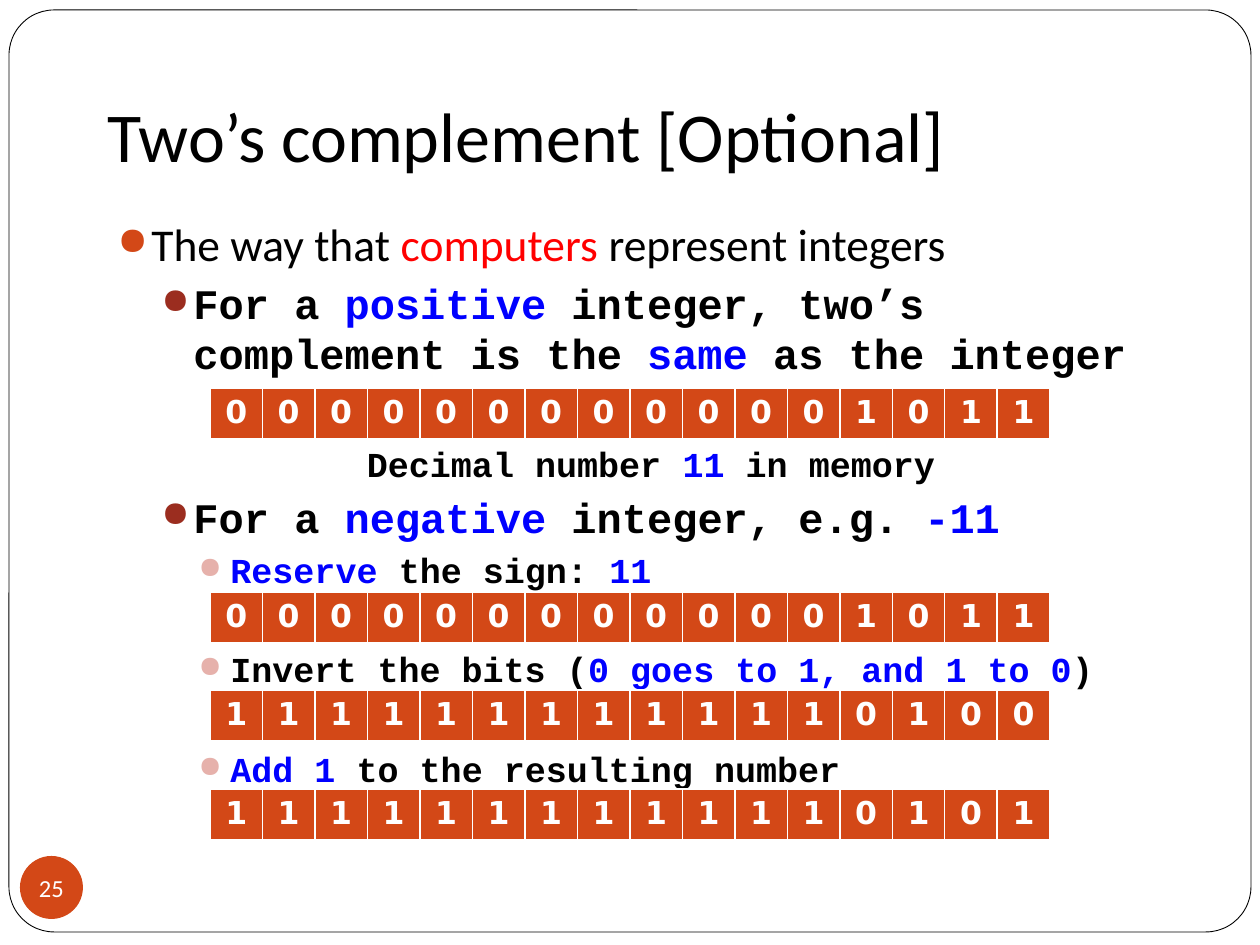
"""Builds the slide on two's complement with its four rows of bits."""
from dataclasses import dataclass

import pptx
import pptx.dml.color
import pptx.enum.shapes
import pptx.enum.text
import pptx.oxml
import pptx.oxml.ns
import pptx.util

PX = 914400 / 126
ALIGN = pptx.enum.text.PP_ALIGN
ANCHOR = pptx.enum.text.MSO_ANCHOR
SHAPE = pptx.enum.shapes.MSO_SHAPE


@dataclass(frozen=True)
class Theme:
    sans: str = "Calibri"
    mono: str = "Courier New"
    digits: str = "DejaVu Sans"
    black: str = "000000"
    white: str = "FFFFFF"
    accent: str = "D34817"
    red: str = "FF0000"
    blue: str = "0000FF"
    bullets: tuple = ("D34817", "9B2D1F", "E6B1AB")
    levels: tuple = (26, 24, 20)
    margins: tuple = (34, 76, 113)
    hangs: tuple = (34, 32, 32)
    title: int = 40
    caption: int = 20
    bit: int = 18
    number: int = 14


def px(n):
    return pptx.util.Emu(round(n * PX))


def rgb(color):
    return pptx.dml.color.RGBColor.from_string(color)


def xml(tag, attrs, inner=""):
    ns = pptx.oxml.ns.nsdecls("a")
    return pptx.oxml.parse_xml(f"<a:{tag} {ns} {attrs}>{inner}</a:{tag}>")


class Deck:
    def __init__(self, theme):
        self.t = theme
        self.prs = pptx.Presentation()
        self.prs.slide_width, self.prs.slide_height = px(1260), px(945)
        self.s = self.prs.slides.add_slide(self.prs.slide_layouts[5])

    def run(self, p, text, size, font, color, bold=False):
        r = p.add_run()
        r.text = text
        r.font.size = pptx.util.Pt(size)
        r.font.name = font
        r.font.bold = bold
        r.font.color.rgb = rgb(color)

    def frame(self, x, y, w, h):
        sp = self.s.shapes.add_shape(SHAPE.ROUNDED_RECTANGLE, px(x), px(y), px(w), px(h))
        sp.adjustments[0] = 0.049
        sp.shadow.inherit = False
        sp.fill.solid()
        sp.fill.fore_color.rgb = rgb(self.t.white)
        sp.line.color.rgb = rgb(self.t.black)
        sp.line.width = pptx.util.Pt(0.5)
        self.s.shapes.title.element.addprevious(sp.element)

    def title(self, text, x, y, w, h):
        sp = self.s.shapes.title
        sp.left, sp.top, sp.width, sp.height = px(x), px(y), px(w), px(h)
        tf = sp.text_frame
        tf.vertical_anchor = ANCHOR.BOTTOM
        tf.margin_bottom = pptx.util.Inches(0.1)
        p = tf.paragraphs[0]
        p.alignment = ALIGN.LEFT
        self.run(p, text, self.t.title, self.t.sans, self.t.black)

    def body(self, x, y, w, h):
        tf = self.s.shapes.add_textbox(px(x), px(y), px(w), px(h)).text_frame
        tf.word_wrap = True
        return tf

    def paragraph(self, tf, before):
        p = tf.paragraphs[0] if not tf.paragraphs[0].runs else tf.add_paragraph()
        p.space_before = pptx.util.Pt(before)
        return p

    def bullet(self, tf, level, before, *runs):
        p = self.paragraph(tf, before)
        p.level = level
        pPr = p._p.get_or_add_pPr()
        pPr.set("marL", str(px(self.t.margins[level])))
        pPr.set("indent", str(-px(self.t.hangs[level])))
        pPr.append(xml("buClr", "", f'<a:srgbClr val="{self.t.bullets[level]}"/>'))
        pPr.append(xml("buSzPct", 'val="85000"'))
        pPr.append(xml("buChar", 'char="●"'))
        font = self.t.mono if level else self.t.sans
        for text, color in runs:
            self.run(p, text, self.t.levels[level], font, color, level > 0)

    def caption(self, tf, before, *runs):
        p = self.paragraph(tf, before)
        p.alignment = ALIGN.CENTER
        for text, color in runs:
            self.run(p, text, self.t.caption, self.t.mono, color, True)

    def badge(self, text, x, y, d):
        sp = self.s.shapes.add_shape(SHAPE.OVAL, px(x), px(y), px(d), px(d))
        sp.shadow.inherit = False
        sp.fill.solid()
        sp.fill.fore_color.rgb = rgb(self.t.accent)
        sp.line.fill.background()
        tf = sp.text_frame
        tf.margin_left = tf.margin_top = tf.margin_right = tf.margin_bottom = 0
        tf.word_wrap = False
        tf.vertical_anchor = ANCHOR.MIDDLE
        p = tf.paragraphs[0]
        p.alignment = ALIGN.CENTER
        self.run(p, text, self.t.number, self.t.sans, self.t.white)

    def bits(self, word, x, y, w, h):
        table = self.s.shapes.add_table(1, len(word), px(x), px(y), px(w), px(h)).table
        for i, bit in enumerate(word):
            table.columns[i].width = px(w / len(word))
            cell = table.cell(0, i)
            p = cell.text_frame.paragraphs[0]
            p.alignment = ALIGN.CENTER
            self.run(p, bit, self.t.bit, self.t.digits, self.t.white, True)
            tcPr = cell._tc.get_or_add_tcPr()
            line = f'<a:solidFill><a:srgbClr val="{self.t.white}"/></a:solidFill>'
            for side, width in (("L", 1), ("R", 1), ("T", 1), ("B", 3)):
                tcPr.append(xml(f"ln{side}", f'w="{width * 12700}"', line))
            cell.fill.solid()
            cell.fill.fore_color.rgb = rgb(self.t.accent)


def main():
    t = Theme()
    deck = Deck(t)
    deck.frame(9, 10, 1242, 922)
    deck.title("Two’s complement [Optional]", 95, 32, 1071, 157)
    tf = deck.body(105, 210, 1092, 630)
    deck.bullet(tf, 0, 5.8, ("The way that ", t.black), ("computers", t.red),
                (" represent integers", t.black))
    deck.bullet(tf, 1, 3.8, ("For a ", t.black), ("positive ", t.blue),
                ("integer, two’s complement is the ", t.black), ("same", t.blue),
                (" as the integer", t.black))
    deck.caption(tf, 36.7, ("Decimal number ", t.black), ("11 ", t.blue),
                 ("in memory", t.black))
    deck.bullet(tf, 1, 3.8, ("For a ", t.black), ("negative ", t.blue),
                ("integer, e.g. ", t.black), ("-11", t.blue))
    deck.bullet(tf, 2, 3.8, ("Reserve", t.blue), (" the sign: ", t.black), ("11", t.blue))
    deck.bullet(tf, 2, 33, ("Invert the bits (", t.black),
                ("0 goes to 1, and 1 to 0", t.blue), (")", t.black))
    deck.bullet(tf, 2, 33, ("Add 1 ", t.blue), ("to the resulting number", t.black))
    deck.badge("25", 20, 856, 63)
    rows = {388: "0000000000001011", 592: "0000000000001011",
            690: "1111111111110100", 789: "1111111111110101"}
    for y, word in rows.items():
        deck.bits(word, 210, y, 840, 52)
    deck.prs.save("out.pptx")


if __name__ == "__main__":
    main()
